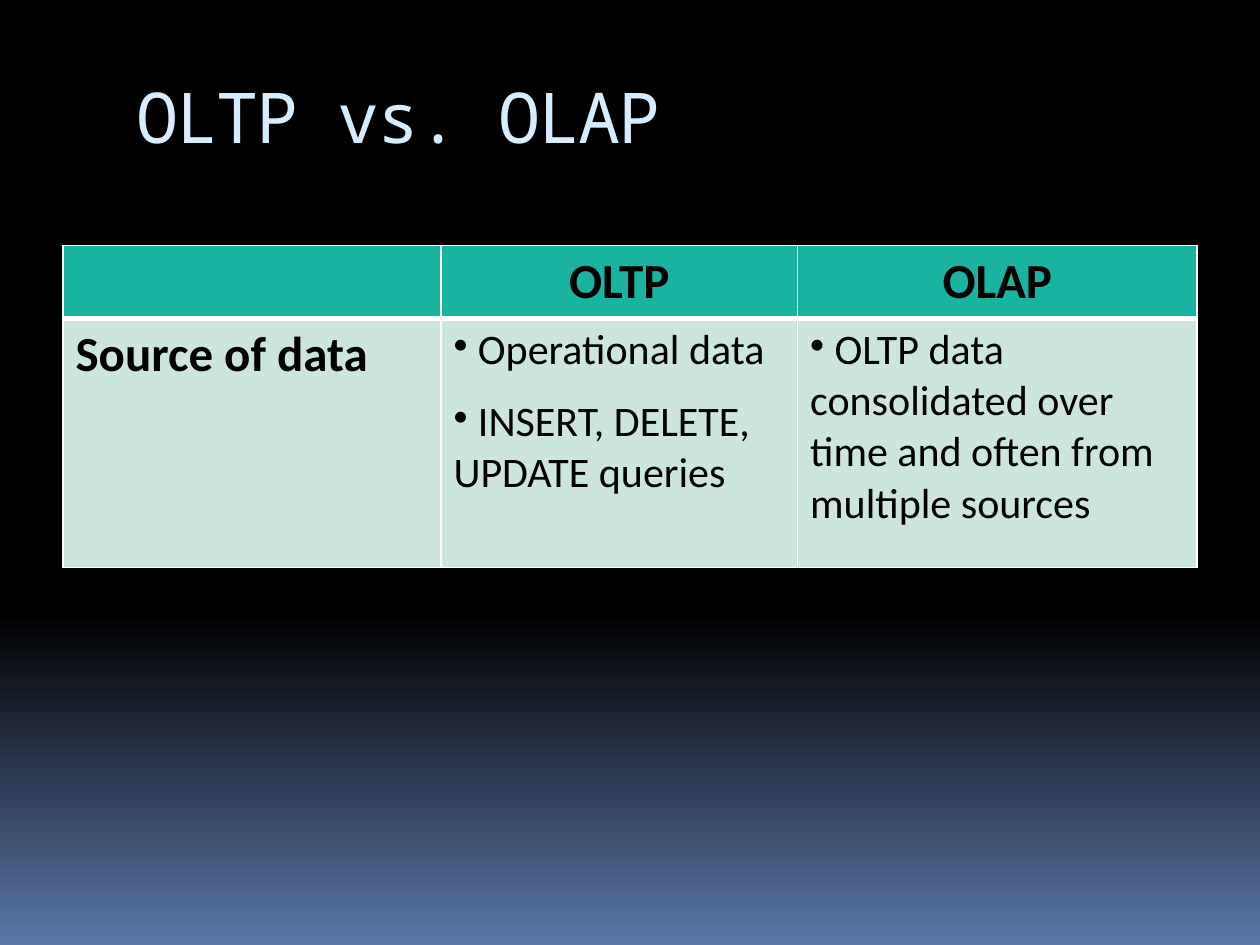
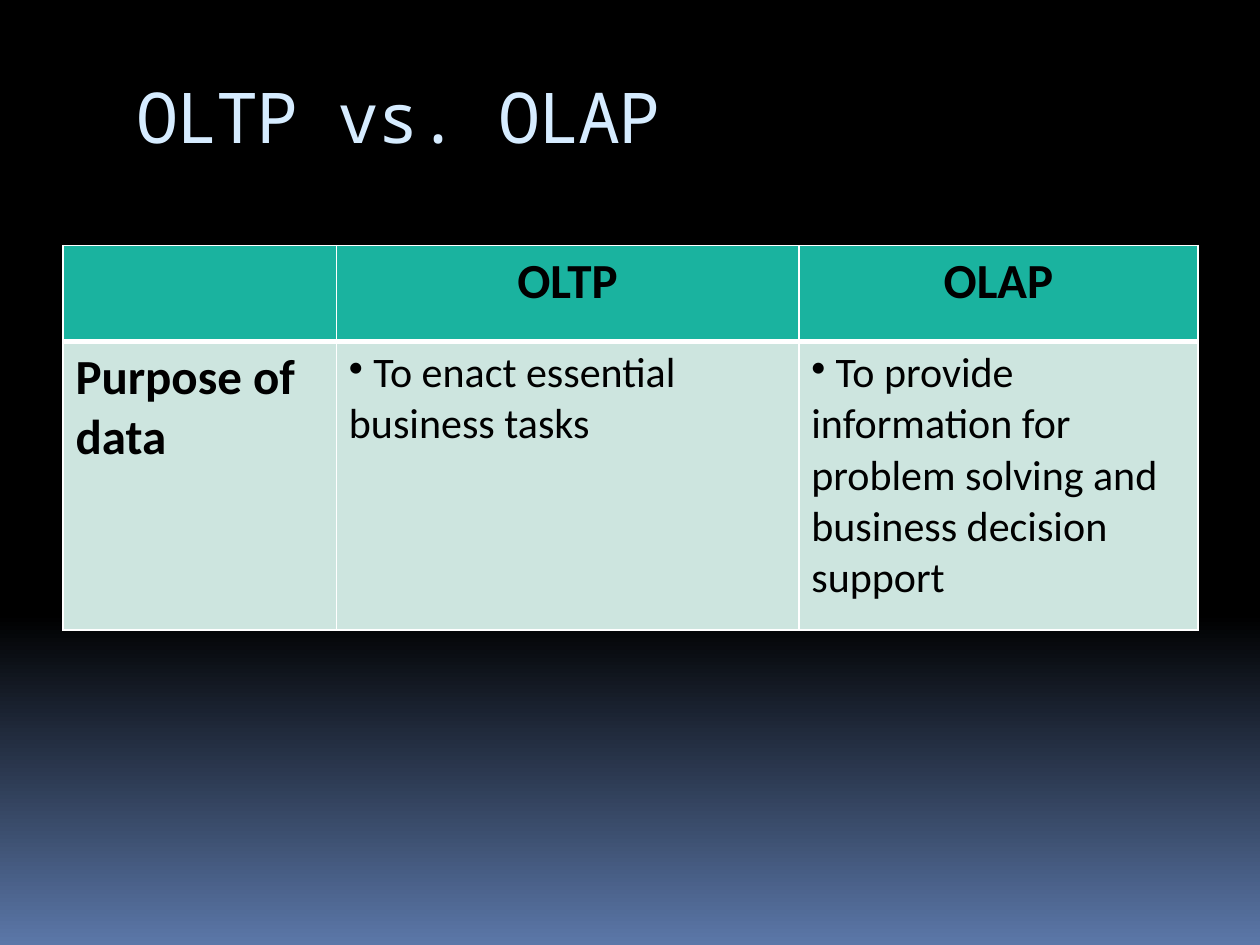
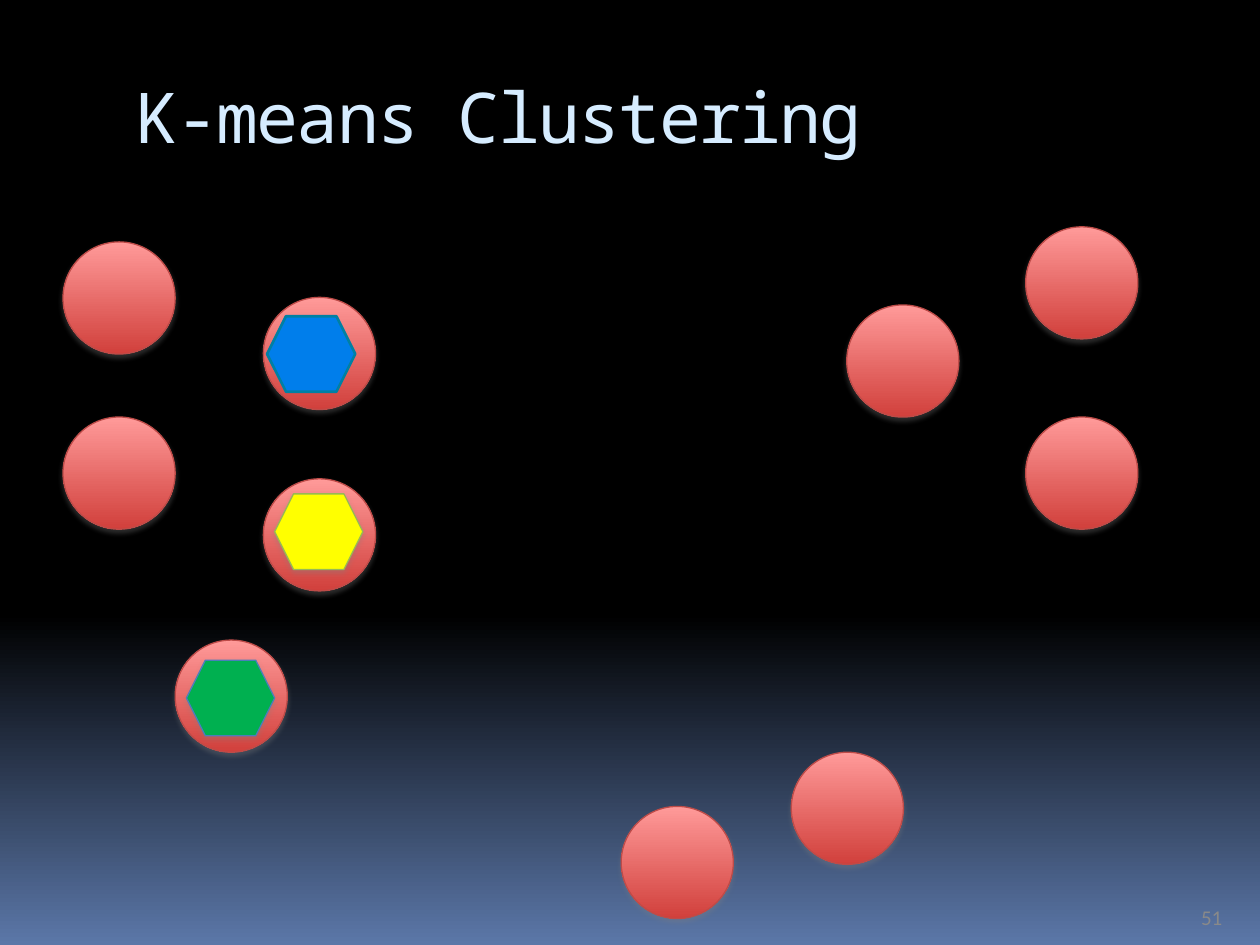
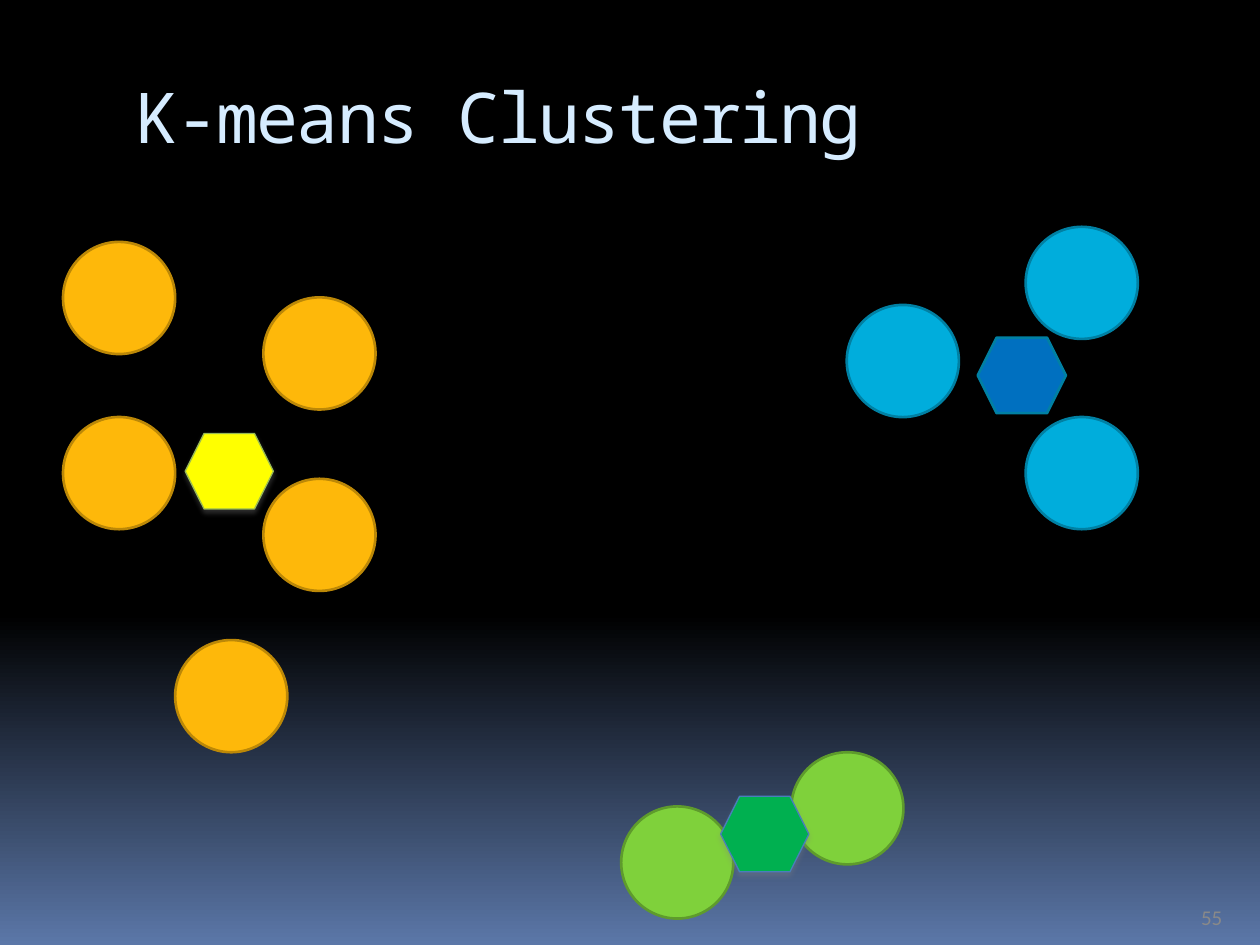
"""Build four slides on OLTP vs. OLAP and K-means clustering."""
import copy

import lxml.etree
import pptx
import pptx.dml.color
import pptx.enum.shapes
import pptx.enum.text
import pptx.oxml
import pptx.oxml.ns
import pptx.util

Inches = pptx.util.Inches
Pt = pptx.util.Pt
Shape = pptx.enum.shapes.MSO_SHAPE
Align = pptx.enum.text.PP_ALIGN
Anchor = pptx.enum.text.MSO_ANCHOR
qn = pptx.oxml.ns.qn

BACKGROUND = [(0, "000000"), (0.65, "000000"), (1, "5B77A8")]
RED_GRADIENT = [(0, "FF9A99"), (1, "D1403C")]
HEADER_FILL, BODY_FILL, BORDER = "1AB39F", "CDE5DF", "FFFFFF"
TITLE_FORMAT = {"name": "Noto Sans Mono", "size": Pt(40), "bold": False}
HEADING_FORMAT = {"name": "Calibri", "size": Pt(28), "bold": True}
BODY_FORMAT = {"name": "Calibri", "size": Pt(24), "bold": False}
NUMBER_FORMAT = {"name": "Calibri", "size": Pt(12), "bold": False}
TITLE_MARGINS = {"margin_left": Inches(0.08), "margin_top": Inches(0.02)}
SHADOW = (
    '<a:effectLst xmlns:a="http://schemas.openxmlformats.org/drawingml/2006/main">'
    '<a:outerShdw blurRad="39370" dist="22860" dir="5400000" rotWithShape="0">'
    '<a:srgbClr val="808080"><a:alpha val="35000"/></a:srgbClr>'
    "</a:outerShdw></a:effectLst>"
)


def color(code):
    return pptx.dml.color.RGBColor.from_string(code)


def write(paragraph, text, formats, code):
    span = paragraph.add_run()
    span.text = text
    for name, value in formats.items():
        setattr(span.font, name, value)
    span.font.color.rgb = color(code)
    return span


deck = pptx.Presentation()
deck.slide_width, deck.slide_height = Inches(10), Inches(7.5)

backdrop = deck.slide_master.background.fill
backdrop.gradient()
backdrop.gradient_angle = 270
stop_list = deck.slide_master.element.xpath(".//p:bg//a:gsLst")[0]
stop_list.append(copy.deepcopy(stop_list[0]))
for stop, (position, code) in zip(backdrop.gradient_stops, BACKGROUND):
    stop.position, stop.color.rgb = position, color(code)

pages = []
for title in ["OLTP vs. OLAP"] * 2 + ["K-means Clustering"] * 2:
    page = deck.slides.add_slide(deck.slide_layouts[5])
    box = page.shapes.title
    box.left, box.top = Inches(1), Inches(0.56)
    box.width, box.height = Inches(8.5), Inches(1)
    frame = box.text_frame
    frame.vertical_anchor = Anchor.TOP
    for name, value in TITLE_MARGINS.items():
        setattr(frame, name, value)
    frame.paragraphs[0].alignment = Align.LEFT
    span = write(frame.paragraphs[0], title, TITLE_FORMAT, "D6ECFF")
    span.font._element.set("spc", "-100")
    pages.append(page)

comparisons = [
    ([3, 2.83, 3.17], [0.57, 1.98], "Source of data",
     [" Operational data", " INSERT, DELETE, UPDATE queries"],
     [" OLTP data consolidated over time and often from multiple sources"]),
    ([2.17, 3.67, 3.17], [0.76, 2.29], "Purpose of data",
     [" To enact essential business tasks"],
     [" To provide information for problem solving and business decision support"]),
]
for page, (widths, heights, topic, oltp, olap) in zip(pages, comparisons):
    table = page.shapes.add_table(
        2, 3, Inches(0.5), Inches(1.95), Inches(sum(widths)), Inches(sum(heights))
    ).table
    table.horz_banding = False
    for column, width in zip(table.columns, widths):
        column.width = Inches(width)
    for row, height in zip(table.rows, heights):
        row.height = Inches(height)

    for index, cell in enumerate(table.iter_cells()):
        is_header = index < 3
        properties = cell._tc.get_or_add_tcPr()
        for side in ("lnL", "lnR", "lnT", "lnB"):
            thickness = Pt(3) if is_header and side == "lnB" else Pt(1)
            edge = lxml.etree.SubElement(properties, qn("a:" + side), w=str(thickness))
            solid = lxml.etree.SubElement(edge, qn("a:solidFill"))
            lxml.etree.SubElement(solid, qn("a:srgbClr"), val=BORDER)
        cell.fill.solid()
        cell.fill.fore_color.rgb = color(HEADER_FILL if is_header else BODY_FILL)

    for row, column, text in [(0, 1, "OLTP"), (0, 2, "OLAP"), (1, 0, topic)]:
        para = table.cell(row, column).text_frame.paragraphs[0]
        para.alignment = Align.LEFT if row else Align.CENTER
        write(para, text, HEADING_FORMAT, "000000")

    for column, points in [(1, oltp), (2, olap)]:
        frame = table.cell(1, column).text_frame
        for index, text in enumerate(points):
            para = frame.add_paragraph() if index else frame.paragraphs[0]
            para.space_before = Pt(6 if index else 0)
            para.space_after = Pt(6)
            lxml.etree.SubElement(para._p.get_or_add_pPr(), qn("a:buChar"), char="•")
            write(para, text, BODY_FORMAT, "000000")

left_cluster = [(0.5, 1.92), (0.5, 3.31), (2.09, 2.36), (1.39, 5.08), (2.09, 3.8)]
right_cluster = [(8.14, 1.8), (6.72, 2.42), (8.14, 3.31)]
bottom_cluster = [(6.28, 5.97), (4.93, 6.4)]

red = (RED_GRADIENT, "BE4B48", 0.75, True)
orange = ("FEB80A", "BC8807", 1.5, False)
cyan = ("00ADDC", "0080A3", 1.5, False)
lime = ("7FD13B", "5E9B2C", 1.5, False)
bright_blue = ("007EEB", "0080A3", 1.5, False)
deep_blue = ("0070C0", "0080A3", 1.5, False)
yellow = ("FFFF00", "98B954", 0.75, True)
green = ("00B050", "4A7EBB", 0.75, True)

circle = (Shape.OVAL, 0.89, 0.89)
centroid = (Shape.HEXAGON, 0.7, 0.6)
clusterings = [
    ("51", [
        (circle, red, left_cluster + right_cluster + bottom_cluster),
        (centroid, bright_blue, [(2.12, 2.51)]),
        (centroid, yellow, [(2.18, 3.92)]),
        (centroid, green, [(1.48, 5.24)]),
    ]),
    ("55", [
        (circle, orange, left_cluster),
        (circle, cyan, right_cluster),
        (circle, lime, bottom_cluster),
        (centroid, deep_blue, [(7.76, 2.68)]),
        (centroid, yellow, [(1.47, 3.44)]),
        (centroid, green, [(5.72, 6.32)]),
    ]),
]
for page, (number, groups) in zip(pages[2:], clusterings):
    for (kind, width, height), (fill, outline, weight, shaded), places in groups:
        for left, top in places:
            marker = page.shapes.add_shape(
                kind, Inches(left), Inches(top), Inches(width), Inches(height)
            )
            if fill is RED_GRADIENT:
                marker.fill.gradient()
                marker.fill.gradient_angle = 270
                for stop, (position, code) in zip(marker.fill.gradient_stops, fill):
                    stop.position, stop.color.rgb = position, color(code)
            else:
                marker.fill.solid()
                marker.fill.fore_color.rgb = color(fill)
            marker.line.color.rgb = color(outline)
            marker.line.width = Pt(weight)
            if shaded:
                marker._element.spPr.append(pptx.oxml.parse_xml(SHADOW))
            else:
                marker.shadow.inherit = False

    box = page.shapes.add_textbox(Inches(9), Inches(7.08), Inches(0.8), Inches(0.4))
    box.text_frame.word_wrap = True
    box.text_frame.vertical_anchor = Anchor.MIDDLE
    para = box.text_frame.paragraphs[0]
    para.alignment = Align.RIGHT
    write(para, number, NUMBER_FORMAT, "898989")

deck.save("out.pptx")
